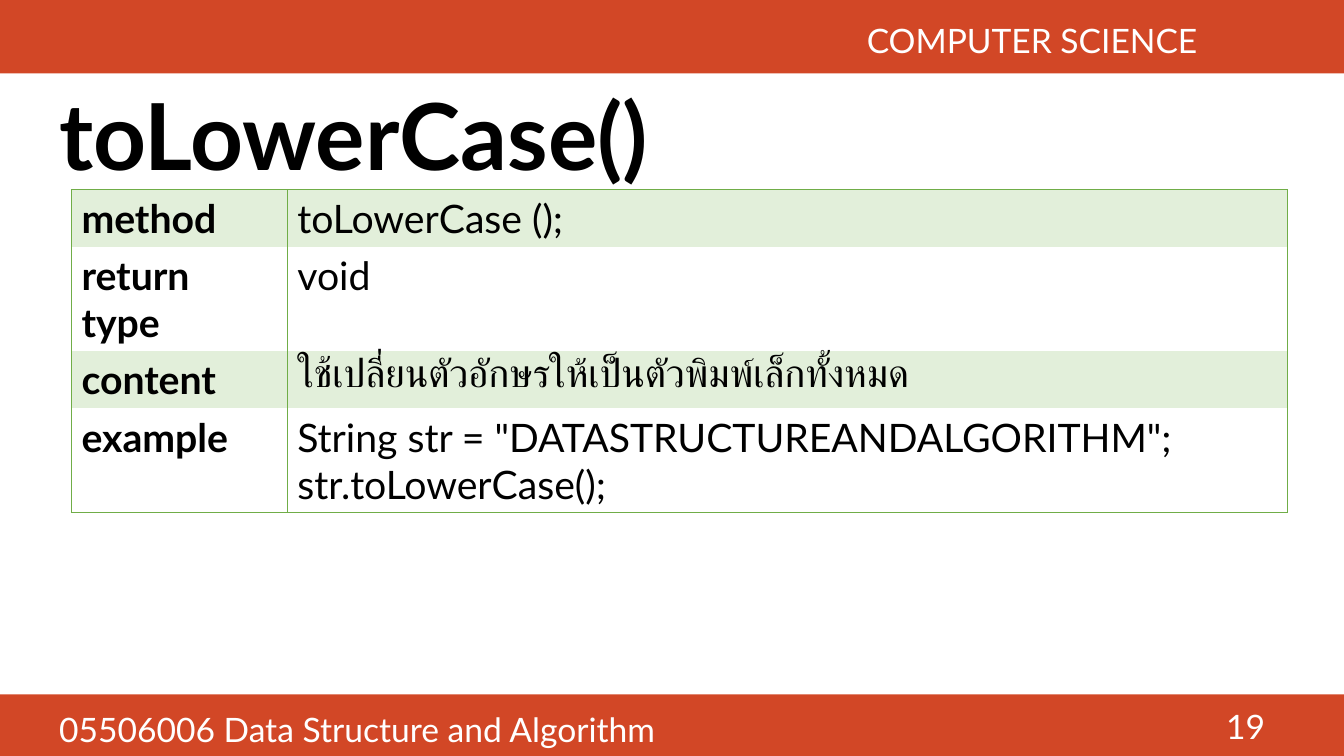
from dataclasses import dataclass

from lxml import etree
from pptx import Presentation
from pptx import util as u
from pptx.dml.color import RGBColor
from pptx.enum import shapes, text
from pptx.oxml import ns

COLORS = {"bar": "D24726", "band": "E2EFDA", "border": "70AD47", "black": "000000", "white": "FFFFFF"}
FONT = "Lato"
SLIDE_WIDTH, SLIDE_HEIGHT = 33.87, 19.05
TABLE_LEFT, TABLE_TOP = 1.8, 4.78
COLUMN_WIDTHS = (5.44, 25.2)
LINE_HEIGHT, ROW_PADDING = 1.19, 0.25


@dataclass
class Bar:
    top: float
    height: float


@dataclass
class Label:
    wording: str
    left: float
    top: float
    width: float
    height: float
    size: int = 24
    color: str = "white"
    bold: bool = False
    align: text.PP_ALIGN = text.PP_ALIGN.LEFT
    anchor: text.MSO_ANCHOR = text.MSO_ANCHOR.TOP
    line_spacing: float = 1.0


@dataclass
class MethodRow:
    heading: str
    detail: str
    lines: int
    banded: bool


BARS = (Bar(0, 1.85), Bar(17.5, 1.55))
LABELS = (
    Label("toLowerCase()", 1.24, 1.93, 31.19, 3.23, 66, "black", True,
          anchor=text.MSO_ANCHOR.MIDDLE, line_spacing=0.9),
    Label("COMPUTER SCIENCE", 0, 0.38, 30.43, 1.37, align=text.PP_ALIGN.RIGHT),
    Label("05506006 Data Structure and Algorithm", 1.24, 17.73, 23, 1.3),
    Label("19", 24.51, 17.78, 7.62, 1.02, align=text.PP_ALIGN.RIGHT, anchor=text.MSO_ANCHOR.MIDDLE),
)
ROWS = (
    MethodRow("method", "toLowerCase ();", 1, True),
    MethodRow("return type", "void", 2, False),
    MethodRow("content", "ใช้เปลี่ยนตัวอักษรให้เป็นตัวพิมพ์เล็กทั้งหมด", 1, True),
    MethodRow("example", 'String str = "DATASTRUCTUREANDALGORITHM";\nstr.toLowerCase();', 2, False),
)


def rgb(name: str) -> RGBColor:
    return RGBColor.from_string(COLORS[name])


def style_text(frame, size: int, color: str, bold: bool) -> None:
    for para in frame.paragraphs:
        para.font.name = FONT
        para.font.size = u.Pt(size)
        para.font.bold = bold
        para.font.color.rgb = rgb(color)


def draw_bar(page, bar: Bar) -> None:
    box = page.shapes.add_shape(shapes.MSO_SHAPE.RECTANGLE, 0, u.Cm(bar.top),
                                u.Cm(SLIDE_WIDTH), u.Cm(bar.height))
    box.shadow.inherit = False
    box.fill.solid()
    box.fill.fore_color.rgb = rgb("bar")
    box.line.fill.background()


def draw_label(page, label: Label) -> None:
    box = page.shapes.add_textbox(u.Cm(label.left), u.Cm(label.top), u.Cm(label.width), u.Cm(label.height))
    frame = box.text_frame
    frame.word_wrap = True
    frame.vertical_anchor = label.anchor
    frame.text = label.wording
    frame.paragraphs[0].alignment = label.align
    frame.paragraphs[0].line_spacing = label.line_spacing
    style_text(frame, label.size, label.color, label.bold)


def set_borders(cell, visible: str) -> None:
    properties = cell._tc.get_or_add_tcPr()
    for side in "LRTB":
        line = etree.SubElement(properties, ns.qn(f"a:ln{side}"), w=str(u.Pt(1)))
        if side in visible:
            fill = etree.SubElement(line, ns.qn("a:solidFill"))
            etree.SubElement(fill, ns.qn("a:srgbClr"), val=COLORS["border"])
        else:
            etree.SubElement(line, ns.qn("a:noFill"))


def draw_table(page) -> None:
    heights = [row.lines * LINE_HEIGHT + ROW_PADDING for row in ROWS]
    frame = page.shapes.add_table(len(ROWS), len(COLUMN_WIDTHS), u.Cm(TABLE_LEFT), u.Cm(TABLE_TOP),
                                  u.Cm(sum(COLUMN_WIDTHS)), u.Cm(sum(heights)))
    table = frame.table
    table.first_row = table.horz_banding = False
    for column, width in zip(table.columns, COLUMN_WIDTHS):
        column.width = u.Cm(width)
    for index, row in enumerate(ROWS):
        table.rows[index].height = u.Cm(heights[index])
        visible = "LR" + ("T" if index == 0 else "") + ("B" if index == len(ROWS) - 1 else "")
        for position, wording in enumerate((row.heading, row.detail)):
            cell = table.cell(index, position)
            cell.text = wording
            style_text(cell.text_frame, 28, "black", position == 0)
            set_borders(cell, visible)
            if row.banded:
                cell.fill.solid()
                cell.fill.fore_color.rgb = rgb("band")
            else:
                cell.fill.background()


def main() -> None:
    deck = Presentation()
    deck.slide_width, deck.slide_height = u.Cm(SLIDE_WIDTH), u.Cm(SLIDE_HEIGHT)
    page = deck.slides.add_slide(deck.slide_layouts[6])
    for bar in BARS:
        draw_bar(page, bar)
    for label in LABELS:
        draw_label(page, label)
    draw_table(page)
    deck.save("out.pptx")


if __name__ == "__main__":
    main()
